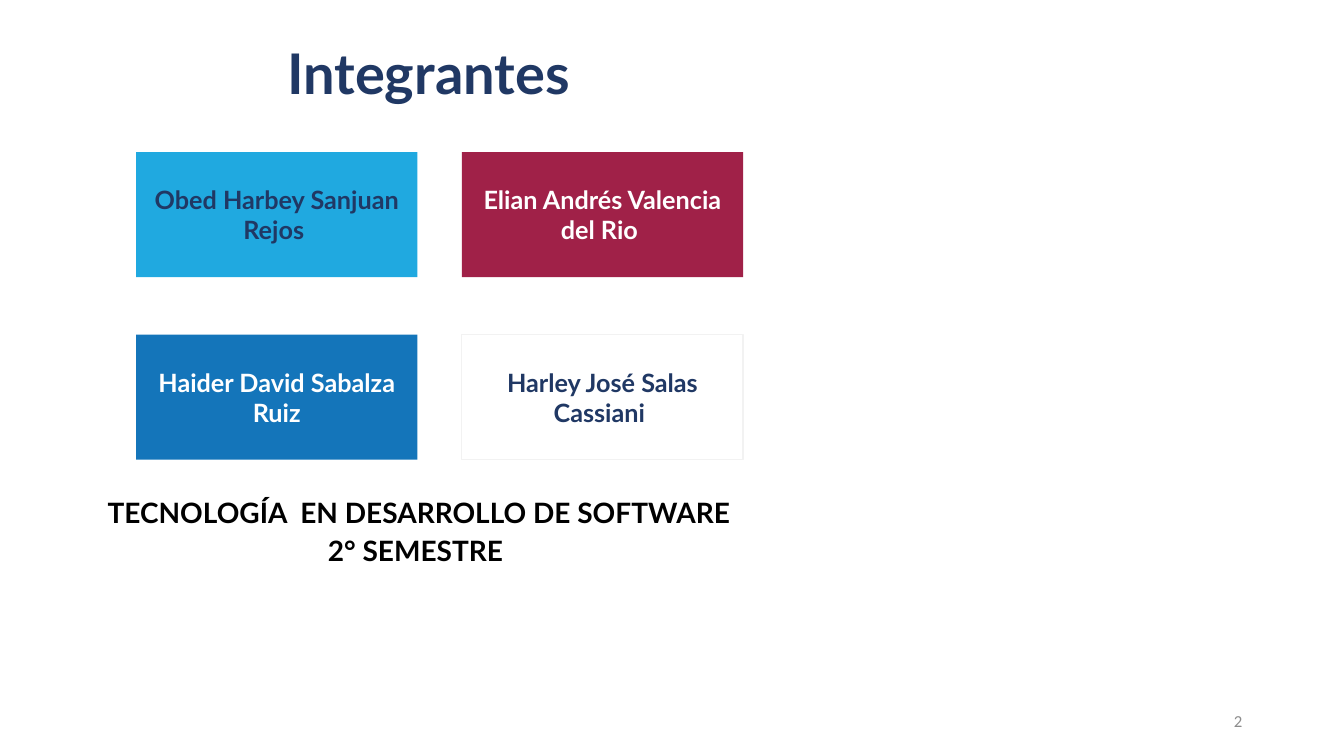
import pptx
import pptx.dml.color
import pptx.enum.shapes
import pptx.enum.text
import pptx.util
from pptx.util import Inches

COLORS = {
    "navy": "203864",
    "sky": "20A9E0",
    "wine": "A02148",
    "blue": "1475BA",
    "white": "FFFFFF",
    "border": "F2F2F2",
    "black": "000000",
    "gray": "8C8C8C",
}
ALIGN = pptx.enum.text.PP_ALIGN
ANCHOR = pptx.enum.text.MSO_ANCHOR
MEMBERS = [
    ("Obed Harbey Sanjuan Rejos ", "sky", "navy"),
    ("Elian Andrés Valencia del Rio ", "wine", "white"),
    ("Haider David Sabalza Ruiz", "blue", "white"),
    ("Harley José Salas Cassiani ", "white", "navy"),
]


def rgb(name):
    """Return the named colour."""
    return pptx.dml.color.RGBColor.from_string(COLORS[name])


def write(shape, text, size, color, align, anchor, font="Lato", bold=True):
    """Fill a shape with uniformly formatted text."""
    frame = shape.text_frame
    frame.word_wrap = True
    frame.vertical_anchor = anchor
    frame.text = text
    for para in frame.paragraphs:
        para.alignment = align
        for span in para.runs:
            span.font.name = font
            span.font.size = pptx.util.Pt(size)
            span.font.bold = bold
            span.font.color.rgb = rgb(color)
    return frame


def add_text(page, place, *style, **options):
    """Add a text box at the given place and return its frame."""
    box = page.shapes.add_textbox(*map(Inches, place))
    return write(box, *style, **options)


def add_member(page, index, name, fill, color):
    """Add a member card in the two-column grid."""
    row, column = divmod(index, 2)
    card = page.shapes.add_shape(
        pptx.enum.shapes.MSO_SHAPE.RECTANGLE,
        Inches(1.35 + 3.23 * column), Inches(1.51 + 1.81 * row),
        Inches(2.79), Inches(1.24))
    card.shadow.inherit = False
    card.fill.solid()
    card.fill.fore_color.rgb = rgb(fill)
    if fill == "white":
        card.line.color.rgb = rgb("border")
        card.line.width = pptx.util.Pt(1)
    else:
        card.line.fill.background()
    write(card, name, 18, color, ALIGN.CENTER, ANCHOR.MIDDLE)


def add_program(page):
    """Add the study programme and semester."""
    frame = add_text(page, (0.45, 4.75, 7.41, 0.96),
                     "TECNOLOGÍA  EN DESARROLLO DE SOFTWARE\n2° SEMESTRE ",
                     20, "black", ALIGN.CENTER, ANCHOR.TOP)
    frame.margin_top = Inches(0.26)
    for para in frame.paragraphs:
        para.line_spacing = 0.7
    frame.paragraphs[1].space_before = pptx.util.Pt(10)


def main():
    """Build and save the team slide."""
    deck = pptx.Presentation()
    deck.slide_width = Inches(13.33)
    deck.slide_height = Inches(7.5)
    page = deck.slides.add_slide(deck.slide_layouts[6])
    title = add_text(page, (2.75, 0.18, 3.92, 0.93), "Integrantes",
                     40, "navy", ALIGN.LEFT, ANCHOR.BOTTOM)
    title.paragraphs[0].line_spacing = 0.9
    for index, member in enumerate(MEMBERS):
        add_member(page, index, *member)
    add_program(page)
    add_text(page, (9.42, 6.95, 3, 0.4), "2", 12, "gray",
             ALIGN.RIGHT, ANCHOR.MIDDLE, font="Calibri", bold=False)
    deck.save("out.pptx")


if __name__ == "__main__":
    main()
